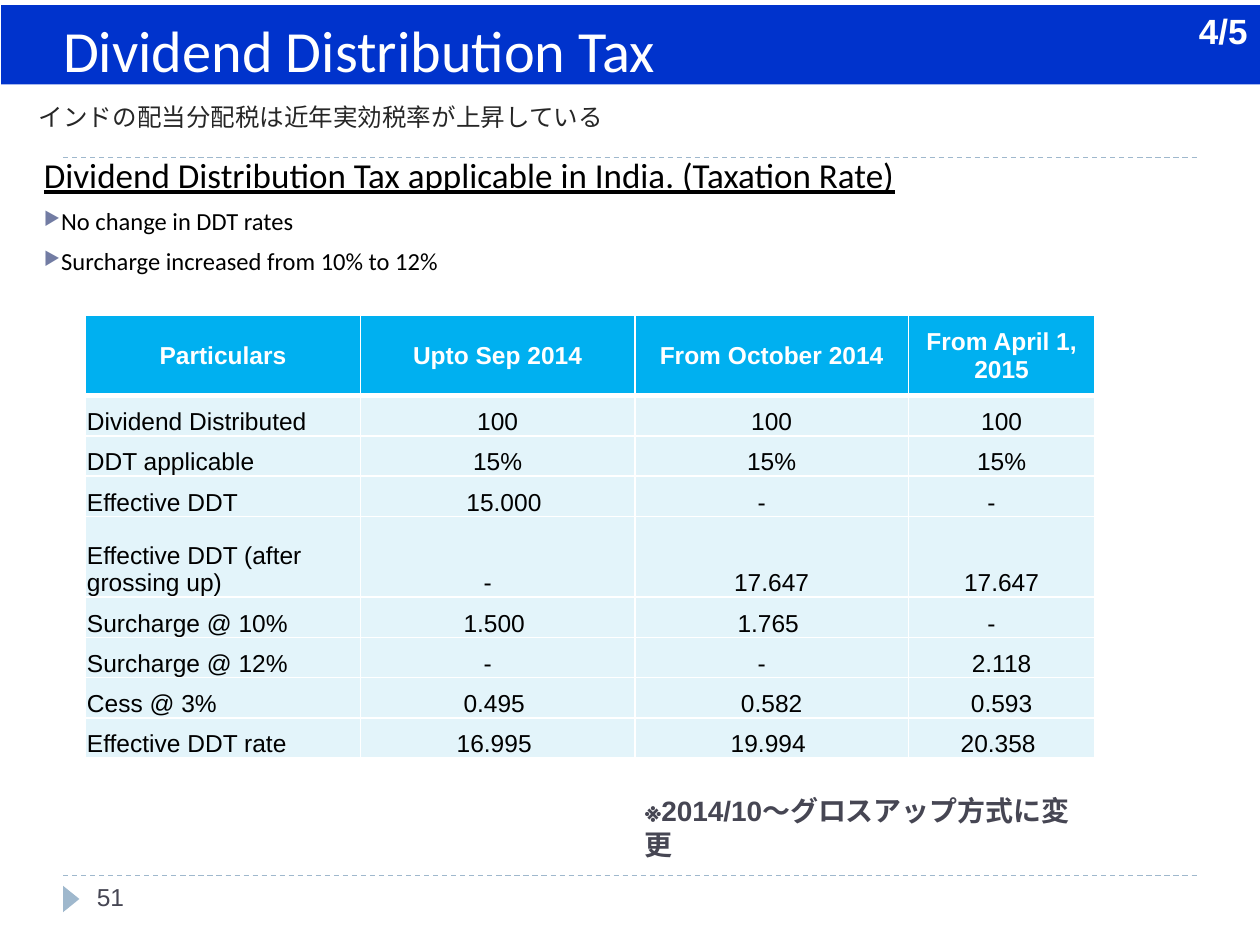
from lxml.etree import SubElement
from pptx import Presentation
from pptx.dml.color import RGBColor
from pptx.enum.dml import MSO_LINE
from pptx.enum.shapes import MSO_CONNECTOR, MSO_SHAPE
from pptx.enum.text import MSO_ANCHOR, MSO_AUTO_SIZE, PP_ALIGN
from pptx.oxml.ns import qn
from pptx.util import Inches, Pt

COLORS = {
    "banner": "0033CC", "white": "FFFFFF", "black": "000000",
    "rule": "9FB8CD", "bullet": "727CA3", "header": "00B0F0",
    "cell": "E3F4FA", "note": "464653", "subtitle": "262626",
}
COLUMN_WIDTHS = [2.18, 2.18, 2.17, 1.48]
ROW_HEIGHTS = [0.64, 0.32, 0.32, 0.32, 0.64, 0.32, 0.32, 0.32, 0.32]
TAX_ROWS = [
    ["Particulars", "Upto Sep 2014", "From October 2014", "From April 1, 2015"],
    ["Dividend Distributed", "100", "100", "100"],
    ["DDT applicable", "15%", "15%", "15%"],
    ["Effective DDT", "15.000", "-", "-"],
    ["Effective DDT (after grossing up)", "-", "17.647", "17.647"],
    ["Surcharge @ 10%", "1.500 ", "1.765 ", "-"],
    ["Surcharge @ 12%", "-", "-", "2.118"],
    ["Cess @ 3%", "0.495 ", "0.582", "0.593"],
    ["Effective DDT rate", "16.995 ", "19.994 ", "20.358 "],
]
# Extra (left, right) cell margins that shift a centred value sideways
VALUE_SHIFTS = {"-": (0, 0.16), "15.000": (0.1, 0)}


def color(name):
    return RGBColor.from_string(COLORS[name])


def format_paragraph(paragraph, size, color_name, font="Arial", bold=False,
                     align=PP_ALIGN.LEFT):
    paragraph.alignment = align
    for run in paragraph.runs:
        run.font.size = Pt(size)
        run.font.name = font
        run.font.bold = bold
        run.font.color.rgb = color(color_name)


def add_text(slide, box, text, size, color_name, **style):
    shape = slide.shapes.add_textbox(*map(Inches, box))
    text_frame = shape.text_frame
    text_frame.word_wrap = True
    text_frame.text = text
    for paragraph in text_frame.paragraphs:
        format_paragraph(paragraph, size, color_name, **style)
    return text_frame


def add_title(slide, text):
    title = slide.shapes.title
    title.left, title.top = Inches(0.01), Inches(0.04)
    title.width, title.height = Inches(9.99), Inches(0.63)
    title.fill.solid()
    title.fill.fore_color.rgb = color("banner")
    text_frame = title.text_frame
    text_frame.text = text
    text_frame.auto_size = MSO_AUTO_SIZE.NONE
    text_frame.vertical_anchor = MSO_ANCHOR.TOP
    text_frame.margin_left = Inches(0.49)
    text_frame.margin_top = Inches(0.07)
    format_paragraph(text_frame.paragraphs[0], 33.3, "white", "Calibri")


def add_rule(slide, top):
    line = slide.shapes.add_connector(
        MSO_CONNECTOR.STRAIGHT, Inches(0.5), Inches(top), Inches(9.5), Inches(top))
    line.line.color.rgb = color("rule")
    line.line.width = Pt(0.75)
    line.line.dash_style = MSO_LINE.DASH
    SubElement(line.element.spPr, qn("a:effectLst"))


def add_page_marker(slide):
    marker = slide.shapes.add_shape(
        MSO_SHAPE.ISOSCELES_TRIANGLE, Inches(0.46), Inches(7.07),
        Inches(0.21), Inches(0.13))
    marker.rotation = 90
    marker.shadow.inherit = False
    marker.fill.solid()
    marker.fill.fore_color.rgb = color("rule")
    marker.line.fill.background()


def add_bullet(paragraph):
    properties = paragraph._p.get_or_add_pPr()
    bullet_color = SubElement(properties, qn("a:buClr"))
    SubElement(bullet_color, qn("a:srgbClr"), val=COLORS["bullet"])
    SubElement(properties, qn("a:buSzPct"), val="76000")
    SubElement(properties, qn("a:buChar"), char="▶")


def add_summary(slide, heading, points):
    text_frame = add_text(slide, (0.25, 1.17, 9.17, 1.1), heading, 20, "black",
                          font="Calibri")
    text_frame.paragraphs[0].runs[0].font.underline = True
    for point in points:
        paragraph = text_frame.add_paragraph()
        paragraph.text = point
        paragraph.space_before = Pt(6)
        add_bullet(paragraph)
        format_paragraph(paragraph, 14, "black", "Calibri")


def set_borders(cell, top, bottom):
    properties = cell._tc.get_or_add_tcPr()
    widths = {"a:lnL": 1, "a:lnR": 1, "a:lnT": top, "a:lnB": bottom}
    for index, (tag, width) in enumerate(widths.items()):
        border = properties.makeelement(qn(tag), {"w": str(Pt(width))})
        fill = SubElement(border, qn("a:solidFill"))
        SubElement(fill, qn("a:srgbClr"), val=COLORS["white"])
        properties.insert(index, border)


def format_cell(cell, text, row, column):
    header = row == 0
    cell.text = text
    left, right = VALUE_SHIFTS.get(text, (0, 0))
    cell.margin_left, cell.margin_right = Inches(0.01 + left), Inches(0.01 + right)
    cell.margin_top, cell.margin_bottom = Inches(0.01), 0
    cell.vertical_anchor = MSO_ANCHOR.MIDDLE if header else MSO_ANCHOR.BOTTOM
    cell.fill.solid()
    cell.fill.fore_color.rgb = color("header" if header else "cell")
    centered = header or column > 0
    format_paragraph(cell.text_frame.paragraphs[0], 14,
                     "white" if header else "black", bold=header,
                     align=PP_ALIGN.CENTER if centered else PP_ALIGN.LEFT)
    set_borders(cell, top=3 if row == 1 else 1, bottom=3 if header else 1)


def add_tax_table(slide):
    table = slide.shapes.add_table(
        len(ROW_HEIGHTS), len(COLUMN_WIDTHS), Inches(0.68), Inches(2.5),
        Inches(8), Inches(3.5)).table
    table.horz_banding = False
    for column, width in zip(table.columns, COLUMN_WIDTHS):
        column.width = Inches(width)
    for row, height in zip(table.rows, ROW_HEIGHTS):
        row.height = Inches(height)
    for row, values in enumerate(TAX_ROWS):
        for column, text in enumerate(values):
            format_cell(table.cell(row, column), text, row, column)


def main():
    presentation = Presentation()
    presentation.slide_width = Inches(10)
    presentation.slide_height = Inches(7.5)
    slide = presentation.slides.add_slide(presentation.slide_layouts[5])

    # Rules and footer
    for top in (6.95, 1.25):
        add_rule(slide, top)
    add_page_marker(slide)
    add_text(slide, (0.67, 6.95, 2.17, 0.4), "51", 14, "note")

    # Banner and subtitle
    add_title(slide, "Dividend Distribution Tax")
    add_text(slide, (8.56, 0.03, 1.44, 0.44), "4/5", 20, "white", bold=True,
             align=PP_ALIGN.RIGHT)
    add_text(slide, (0.21, 0.76, 9.31, 0.34),
             "インドの配当分配税は近年実効税率が上昇している", 14, "subtitle")

    # Summary, table and note
    add_summary(slide, "Dividend Distribution Tax applicable in India. (Taxation Rate)",
                ["No change in DDT rates", "Surcharge increased from 10% to 12%"])
    add_tax_table(slide)
    add_text(slide, (5.02, 6.25, 3.71, 0.37), "※2014/10～グロスアップ方式に変更",
             16, "note", bold=True)

    presentation.save("out.pptx")


if __name__ == "__main__":
    main()
